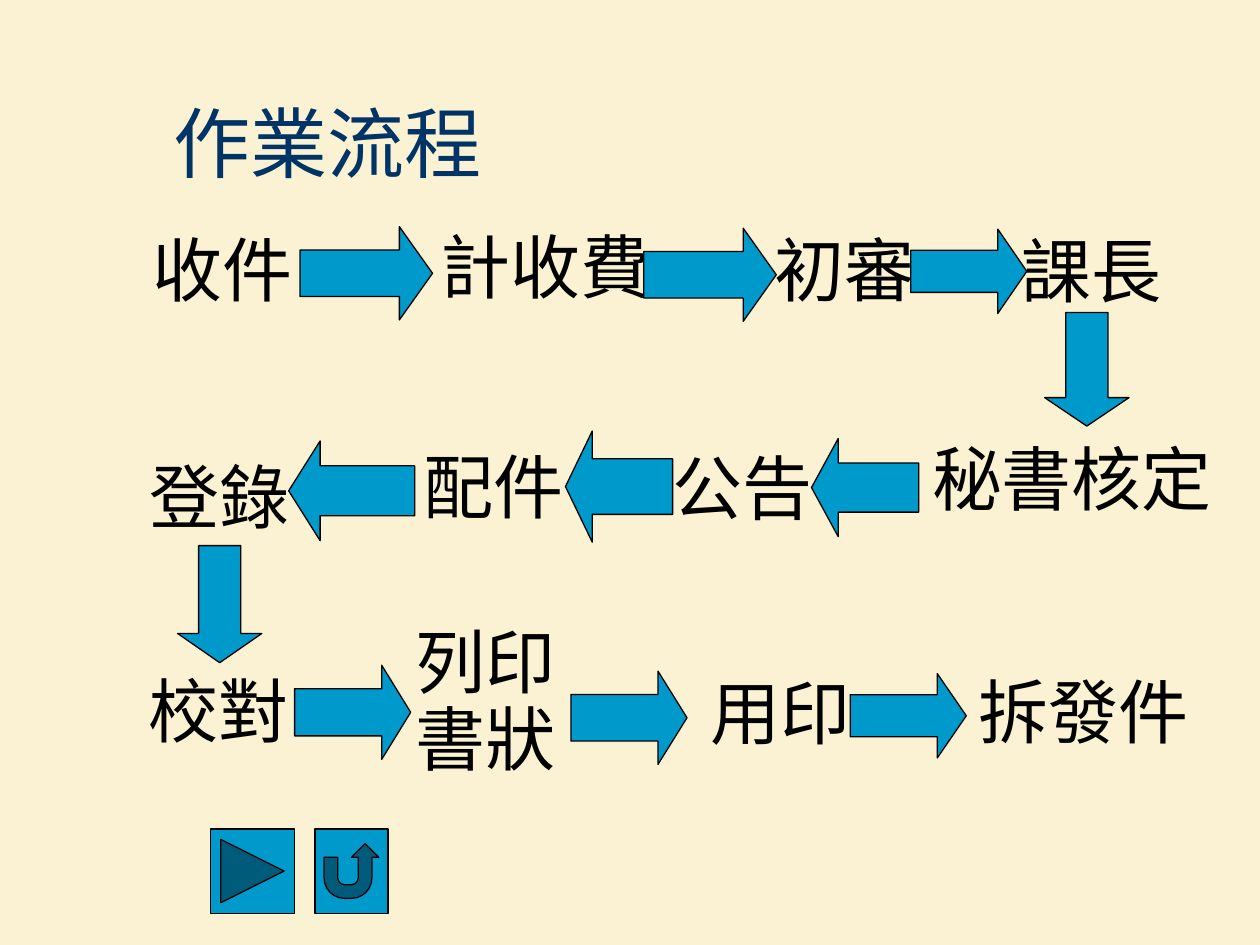
import dataclasses

import pptx
import pptx.dml.color
import pptx.enum.shapes
import pptx.enum.text
import pptx.util

Cm = pptx.util.Cm
Pt = pptx.util.Pt
RGB = pptx.dml.color.RGBColor.from_string
SHAPES = pptx.enum.shapes.MSO_SHAPE
ANCHOR = pptx.enum.text.MSO_ANCHOR
AUTOSIZE = pptx.enum.text.MSO_AUTO_SIZE


@dataclasses.dataclass(frozen=True)
class Theme:
    background: str = "FAF2D2"
    heading: str = "003366"
    ink: str = "000000"
    accent: str = "0099CC"
    font: str = "Times New Roman"
    heading_size: int = 44
    step_size: int = 40
    outline: float = 0.75


THEME = Theme()
LABEL_HEIGHT = 1.96


def apply(target, values):
    for name, value in values.items():
        setattr(target, name, value)


def add_text(slide, box, lines, size, color, frame_format, paragraph_format=None):
    frame = slide.shapes.add_textbox(*map(Cm, box)).text_frame
    apply(frame, {"word_wrap": True, **frame_format})
    for index, line in enumerate(lines):
        paragraph = frame.add_paragraph() if index else frame.paragraphs[0]
        apply(paragraph, paragraph_format or {})
        run = paragraph.add_run()
        run.text = line
        apply(run.font, {"name": THEME.font, "size": Pt(size)})
        run.font.color.rgb = RGB(color)


def add_accent_shape(slide, kind, box):
    shape = slide.shapes.add_shape(kind, *map(Cm, box))
    shape.shadow.inherit = False
    shape.fill.solid()
    shape.fill.fore_color.rgb = RGB(THEME.accent)
    shape.line.color.rgb = RGB(THEME.ink)
    shape.line.width = Pt(THEME.outline)
    return shape


def add_arrow(slide, kind, box):
    """Block arrow whose head takes a quarter of its length."""
    width, height = box[2:]
    length = height if kind == SHAPES.DOWN_ARROW else width
    arrow = add_accent_shape(slide, kind, box)
    arrow.adjustments[0] = 0.5
    arrow.adjustments[1] = 0.25 * length / min(width, height)


def add_title(slide, box):
    add_text(slide, box, ["作業流程"], THEME.heading_size, THEME.heading,
             {"vertical_anchor": ANCHOR.MIDDLE})


def add_flow_row(slide, origin, arrow_kind, steps, arrows):
    """One row of steps and arrows, offset from the row's top left corner."""
    left, top = origin
    for text, x, y, width in steps:
        lines = text.split("\n")
        stacked = len(lines) > 1
        height = 3.12 if stacked else LABEL_HEIGHT
        spacing = {"line_spacing": 0.6, "space_before": Pt(15)} if stacked else {}
        add_text(slide, (left + x, top + y, width, height), lines,
                 THEME.step_size, THEME.ink,
                 {"auto_size": AUTOSIZE.SHAPE_TO_FIT_TEXT}, spacing)
    for x, y, width, height in arrows:
        add_arrow(slide, arrow_kind, (left + x, top + y, width, height))


def add_navigation(slide, origin):
    left, top = origin
    for kind, x, width in ((SHAPES.ACTION_BUTTON_FORWARD_OR_NEXT, 0, 1.7),
                           (SHAPES.ACTION_BUTTON_RETURN, 2.11, 1.47)):
        add_accent_shape(slide, kind, (left + x, top, width, 1.7))


def main():
    deck = pptx.Presentation()
    apply(deck, {"slide_width": Cm(25.4), "slide_height": Cm(19.05)})
    slide = deck.slides.add_slide(deck.slide_layouts[6])
    slide.background.fill.solid()
    slide.background.fill.fore_color.rgb = RGB(THEME.background)

    add_title(slide, (3.25, 1.27, 21.59, 3.18))

    # Intake and review, left to right
    add_flow_row(
        slide, (2.74, 4.39), SHAPES.RIGHT_ARROW,
        [("收件", 0.08, 0.06, 3.61), ("計收費", 5.9, 0, 5.51),
         ("初審", 12.63, 0.06, 3.81), ("課長", 17.61, 0.08, 4.01)],
        [(3.31, 0.18, 2.67, 1.88), (10.24, 0.21, 2.67, 1.88),
         (15.62, 0.23, 2.34, 1.7)])

    # Approval and registration, right to left
    add_flow_row(
        slide, (2.74, 8.66), SHAPES.LEFT_ARROW,
        [("秘書核定", 15.8, 0, 6.3), ("公告", 10.57, 0.18, 3.68),
         ("配件", 5.54, 0.15, 4.55), ("登錄", 0.03, 0.36, 4.55)],
        [(13.62, 0.18, 2.16, 1.98), (8.66, 0.03, 2.16, 2.24),
         (3.08, 0.23, 2.54, 2.01)])

    # Printing and issue, left to right
    add_flow_row(
        slide, (2.74, 12.95), SHAPES.RIGHT_ARROW,
        [("校對", 0, 0.38, 5.56), ("列印\n書狀", 5.39, 0, 4.14),
         ("用印", 11.33, 0.43, 3.61), ("拆發件", 16.74, 0.41, 5.08)],
        [(3.2, 0.46, 2.34, 1.9), (8.77, 0.58, 2.34, 1.88),
         (14.4, 0.63, 2.34, 1.7)])

    # Turns between the rows
    for turn in ((21.06, 6.3, 1.7, 2.29), (3.58, 11, 1.7, 2.36)):
        add_arrow(slide, SHAPES.DOWN_ARROW, turn)

    add_navigation(slide, (4.24, 16.71))
    deck.save("out.pptx")


if __name__ == "__main__":
    main()
